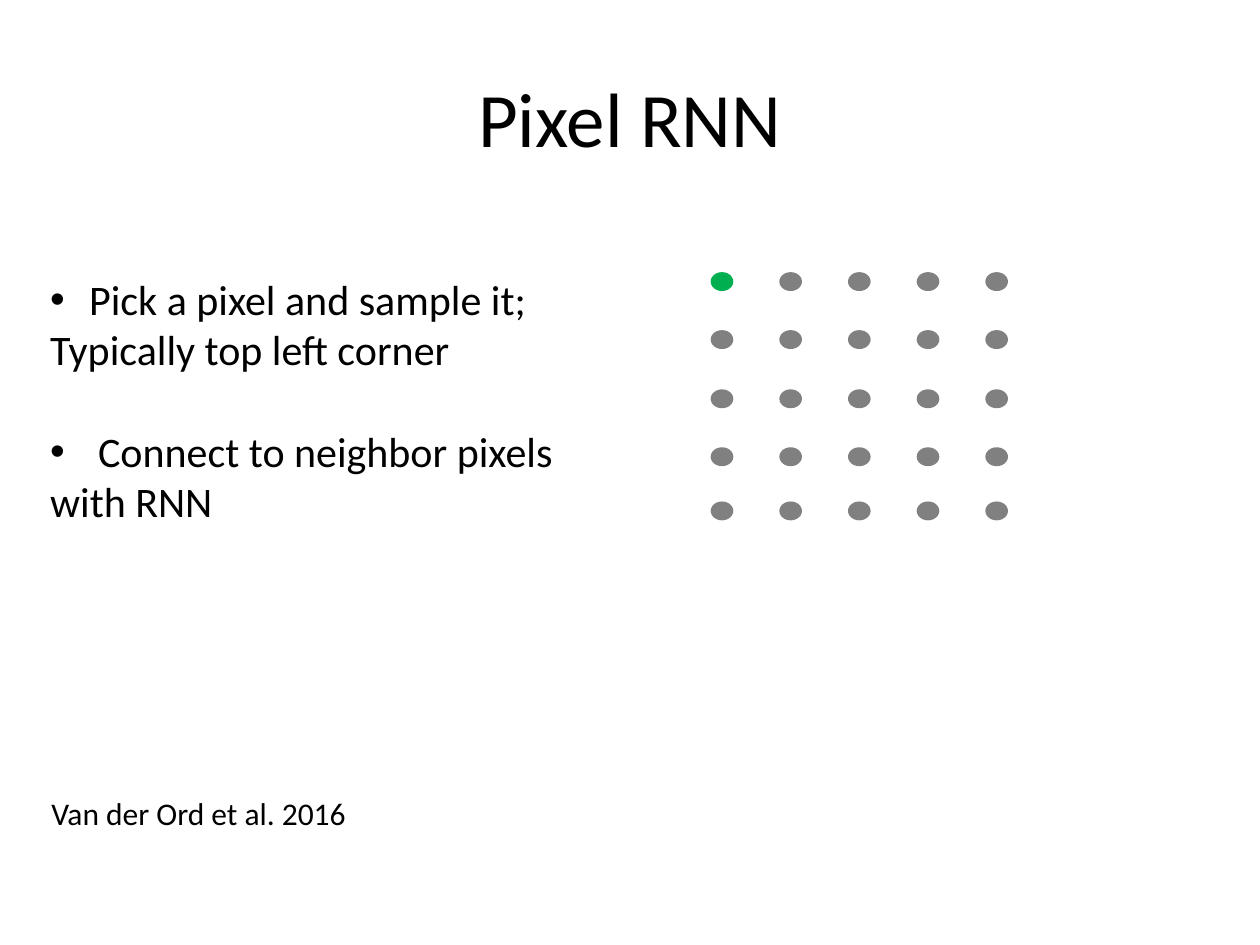
from dataclasses import dataclass

import pptx
import pptx.dml.color
import pptx.enum.shapes
import pptx.enum.text
import pptx.oxml.ns
import pptx.util
from lxml import etree

Inches = pptx.util.Inches
Pt = pptx.util.Pt
RGBColor = pptx.dml.color.RGBColor

BLACK = RGBColor(0x00, 0x00, 0x00)
GRAY = RGBColor(0x80, 0x80, 0x80)
GREEN = RGBColor(0x00, 0xB0, 0x50)
FONT = "Calibri"

PIXEL_LEFT, PIXEL_PITCH, PIXEL_COLUMNS = 5.64, 0.545, 5
PIXEL_ROWS = (2.16, 2.62, 3.09, 3.55, 3.98)
PIXEL_WIDTH, PIXEL_HEIGHT = 0.18, 0.15


@dataclass
class Line:
    text: str
    size: float
    bullet_indent: float = 0
    space_before: float = 0
    align: pptx.enum.text.PP_ALIGN = pptx.enum.text.PP_ALIGN.LEFT


@dataclass
class TextBlock:
    left: float
    top: float
    width: float
    height: float
    lines: list[Line]
    anchor: pptx.enum.text.MSO_ANCHOR = pptx.enum.text.MSO_ANCHOR.TOP


TEXT_BLOCKS = [
    TextBlock(0.5, 0.3, 9, 1.25,
              [Line("Pixel RNN", 44, align=pptx.enum.text.PP_ALIGN.CENTER)],
              pptx.enum.text.MSO_ANCHOR.MIDDLE),
    TextBlock(0.31, 6.25, 2.57, 0.4, [Line("Van der Ord et al. 2016", 18)]),
    TextBlock(0.3, 2.12, 4.3, 2.12, [
        Line("Pick a pixel and sample it;", 24, bullet_indent=0.31),
        Line("Typically top left corner", 24),
        Line("Connect to neighbor pixels", 24, bullet_indent=0.38, space_before=29.3),
        Line("with RNN", 24),
    ]),
]


def add_bullet(p, indent: float) -> None:
    pPr = p._p.get_or_add_pPr()
    pPr.set("marL", str(Inches(indent)))
    pPr.set("indent", str(-Inches(indent)))
    qn = pptx.oxml.ns.qn
    etree.SubElement(pPr, qn("a:buFont")).set("typeface", "Arial")
    etree.SubElement(pPr, qn("a:buChar")).set("char", "•")


def add_text(s, block: TextBlock) -> None:
    sp = s.shapes.add_textbox(Inches(block.left), Inches(block.top),
                              Inches(block.width), Inches(block.height))
    tf = sp.text_frame
    tf.word_wrap = True
    tf.vertical_anchor = block.anchor
    for i, line in enumerate(block.lines):
        p = tf.add_paragraph() if i else tf.paragraphs[0]
        if line.bullet_indent:
            add_bullet(p, line.bullet_indent)
        p.alignment = line.align
        if line.space_before:
            p.space_before = Pt(line.space_before)
        r = p.add_run()
        r.text = line.text
        r.font.name = FONT
        r.font.size = Pt(line.size)
        r.font.color.rgb = BLACK


def add_pixel(s, left: float, top: float, color: RGBColor) -> None:
    sp = s.shapes.add_shape(pptx.enum.shapes.MSO_SHAPE.OVAL, Inches(left), Inches(top),
                            Inches(PIXEL_WIDTH), Inches(PIXEL_HEIGHT))
    sp.shadow.inherit = False
    sp.fill.solid()
    sp.fill.fore_color.rgb = color
    sp.line.fill.background()


def main() -> None:
    prs = pptx.Presentation()
    prs.slide_width, prs.slide_height = Inches(10), Inches(7.5)
    s = prs.slides.add_slide(prs.slide_layouts[6])
    for block in TEXT_BLOCKS:
        add_text(s, block)
    for row, top in enumerate(PIXEL_ROWS):
        for column in range(PIXEL_COLUMNS):
            color = GREEN if row == column == 0 else GRAY
            add_pixel(s, PIXEL_LEFT + column * PIXEL_PITCH, top, color)
    prs.save("out.pptx")


if __name__ == "__main__":
    main()
